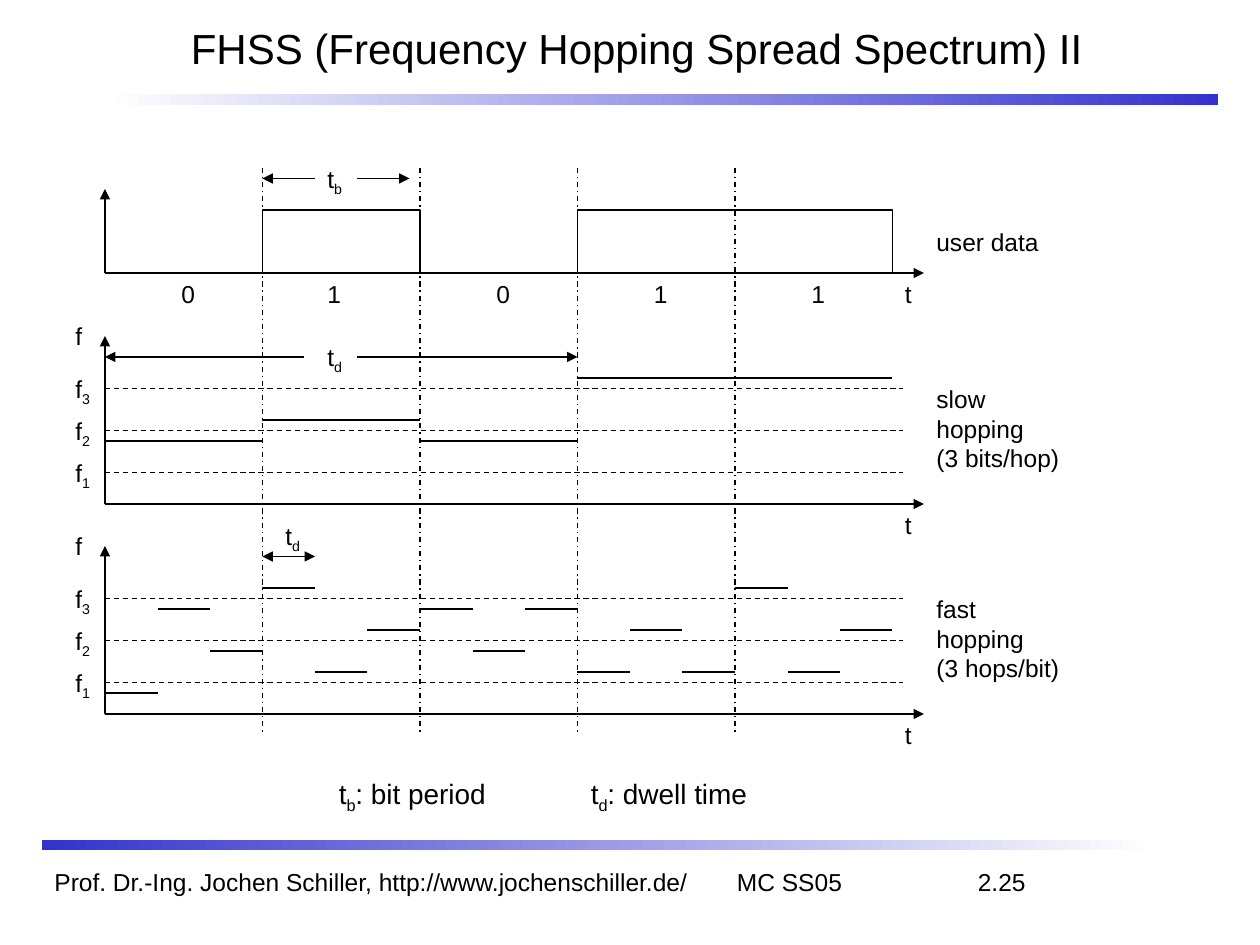
from dataclasses import dataclass

from lxml import etree
from pptx import Presentation
from pptx.dml.color import RGBColor
from pptx.enum.dml import MSO_LINE
from pptx.enum.shapes import MSO_CONNECTOR, MSO_SHAPE
from pptx.enum.text import MSO_ANCHOR, MSO_AUTO_SIZE
from pptx.oxml.ns import qn
from pptx.util import Pt

STRAIGHT = MSO_CONNECTOR.STRAIGHT
RECT = MSO_SHAPE.RECTANGLE
DASH, DASH_DOT = MSO_LINE.DASH, MSO_LINE.DASH_DOT
TOP, MIDDLE = MSO_ANCHOR.TOP, MSO_ANCHOR.MIDDLE
FIT_SHAPE, NO_FIT = MSO_AUTO_SIZE.SHAPE_TO_FIT_TEXT, MSO_AUTO_SIZE.NONE


@dataclass(frozen=True)
class Theme:
    ink: RGBColor = RGBColor(0, 0, 0)
    paper: RGBColor = RGBColor(255, 255, 255)
    accent: RGBColor = RGBColor(0x33, 0x33, 0xCC)
    font: str = "Arial"
    title: int = 24
    legend: int = 16
    body: int = 14
    line: float = 0.75


class Canvas:
    """Draws on one slide in one style; lengths are in points."""

    def __init__(self, slide, theme):
        self.s = slide
        self.theme = theme

    def band(self, x, y, start, end):
        sp = self.s.shapes.add_shape(RECT, Pt(x), Pt(y), Pt(636), Pt(6))
        sp.shadow.inherit = False
        sp.line.fill.background()
        sp.fill.gradient()
        sp.fill.gradient_angle = 0
        for stop, color in zip(sp.fill.gradient_stops, (start, end)):
            stop.color.rgb = color

    def ink_line(self, line, dash=None):
        line.color.rgb = self.theme.ink
        line.width = Pt(self.theme.line)
        if dash:
            line.dash_style = dash

    def line(self, x1, y1, x2, y2, dash=None, ends=()):
        """Draws a line; ends names the arrowheads, headEnd before tailEnd."""
        c = self.s.shapes.add_connector(STRAIGHT, Pt(x1), Pt(y1), Pt(x2), Pt(y2))
        self.ink_line(c.line, dash)
        ln = c.line._get_or_add_ln()
        for end in ends:
            etree.SubElement(ln, qn("a:" + end), type="triangle")
        etree.SubElement(c._element.spPr, qn("a:effectLst"))

    def pulse(self, x1, x2, base, top):
        fb = self.s.shapes.build_freeform(Pt(x1), Pt(base))
        fb.add_line_segments(
            [(Pt(x), Pt(y)) for x, y in ((x1, top), (x2, top), (x2, base))], close=False)
        sp = fb.convert_to_shape()
        sp.shadow.inherit = False
        sp.fill.background()
        self.ink_line(sp.line)

    def text(self, x, y, w, h, lines, size=None, tabs=(), wrap=False, anchor=TOP):
        """Writes lines of text; parts between bars are subscripts."""
        tf = self.s.shapes.add_textbox(Pt(x), Pt(y), Pt(w), Pt(h)).text_frame
        frame = dict(word_wrap=wrap, vertical_anchor=anchor,
                     auto_size=NO_FIT if wrap else FIT_SHAPE)
        for name, value in frame.items():
            setattr(tf, name, value)
        for i, content in enumerate(lines):
            p = tf.paragraphs[0] if i == 0 else tf.add_paragraph()
            if tabs:
                tab_list = etree.SubElement(p._p.get_or_add_pPr(), qn("a:tabLst"))
                for pos, align in tabs:
                    etree.SubElement(tab_list, qn("a:tab"), pos=str(Pt(pos)), algn=align)
            for k, part in enumerate(content.split("|")):
                if part:
                    self.run(p, part, size or self.theme.body, k % 2 == 1)

    def run(self, p, content, size, subscript):
        r = p.add_run()
        r.text = content
        for name, value in dict(name=self.theme.font, size=Pt(size)).items():
            setattr(r.font, name, value)
        r.font.color.rgb = self.theme.ink
        if subscript:
            r.font._element.set("baseline", "-25000")

    def label(self, x, y, content):
        """Writes a symbol of the diagram, with or without a subscript."""
        w, h = (24, 26.5) if "|" in content else (23 if content.isdigit() else 19, 24.5)
        self.text(x, y, w, h, [content])


BITS = (0, 1, 0, 1, 1)
BIT_LABEL_X = (96.5, 180, 276.5, 366.5, 456.5)
X0, BIT, AXIS_END, GUIDE_END = 60, 90, 528, 516
SLOW_HOPS = (2, 2, 2, 3, 3)
FAST_HOPS = (1, 3, 2, 3, 1, 2, 3, 2, 3, 1, 2, 1, 3, 1, 2)


def axes(canvas, base, top):
    canvas.line(X0, base, X0, top, ends=("tailEnd",))
    canvas.line(X0, base, AXIS_END, base, ends=("tailEnd",))
    canvas.label(510, base, "t")


def user_data(canvas):
    base = 156
    axes(canvas, base, 108)
    for x, bit in zip(BIT_LABEL_X, BITS):
        canvas.label(x, base, str(bit))
    for first, last in ((1, 2), (3, 5)):
        canvas.pulse(X0 + first * BIT, X0 + last * BIT, base, 120)
    canvas.text(528, 126, 75, 24.5, ["user data"])


def hopping(canvas, base, hops, caption):
    """Draws a frequency plot; a 0 lies below its carrier and a 1 above."""
    axes(canvas, base, base - 96)
    canvas.label(36, base - 108, "f")
    carrier = {n: base + 6 - 24 * n for n in (1, 2, 3)}
    for n, y in carrier.items():
        canvas.line(X0, y, GUIDE_END, y, DASH)
        canvas.label(36, y - 12, f"f|{n}|")
    per_bit = len(hops) // len(BITS)
    step = BIT / per_bit
    for i, n in enumerate(hops):
        x = X0 + i * step
        y = carrier[n] + (-6 if BITS[i // per_bit] else 6)
        canvas.line(x, y, x + step, y)
    canvas.text(528, base - 72, 87, 57.5, caption)


def periods(canvas):
    for i in range(1, 5):
        x = X0 + i * BIT
        canvas.line(x, 96, x, 420, DASH_DOT)
    for y, spans in ((102, ((150, 180), (204, 234))), (204, ((60, 174), (204, 330)))):
        for span, end in zip(spans, ("headEnd", "tailEnd")):
            canvas.line(span[0], y, span[1], y, ends=(end,))
    canvas.line(150, 318, 180, 318, ends=("headEnd", "tailEnd"))
    for x, y, name in ((180, 90, "t|b|"), (180, 192, "t|d|"), (156, 294, "t|d|")):
        canvas.label(x, y, name)


def main():
    prs = Presentation()
    prs.slide_width, prs.slide_height = Pt(720), Pt(540)
    theme = Theme()
    canvas = Canvas(prs.slides.add_slide(prs.slide_layouts[6]), theme)

    canvas.band(60, 54, theme.paper, theme.accent)
    canvas.band(24, 480, theme.accent, theme.paper)
    canvas.text(102, 0, 606, 54, ["FHSS (Frequency Hopping Spread Spectrum) II"],
                theme.title, wrap=True, anchor=MIDDLE)
    canvas.text(24, 492, 630, 24,
                ["Prof. Dr.-Ing. Jochen Schiller, http://www.jochenschiller.de/\tMC SS05\t2.25"],
                tabs=((390, "l"), (555, "r")), wrap=True)

    user_data(canvas)
    hopping(canvas, 288, SLOW_HOPS, ["slow", "hopping", "(3 bits/hop)"])
    hopping(canvas, 408, FAST_HOPS, ["fast", "hopping", "(3 hops/bit)"])
    periods(canvas)
    canvas.text(186.5, 440, 248, 29.5, ["t|b|: bit period\tt|d|: dwell time"],
                theme.legend, tabs=((144, "l"),))
    prs.save("out.pptx")


if __name__ == "__main__":
    main()
